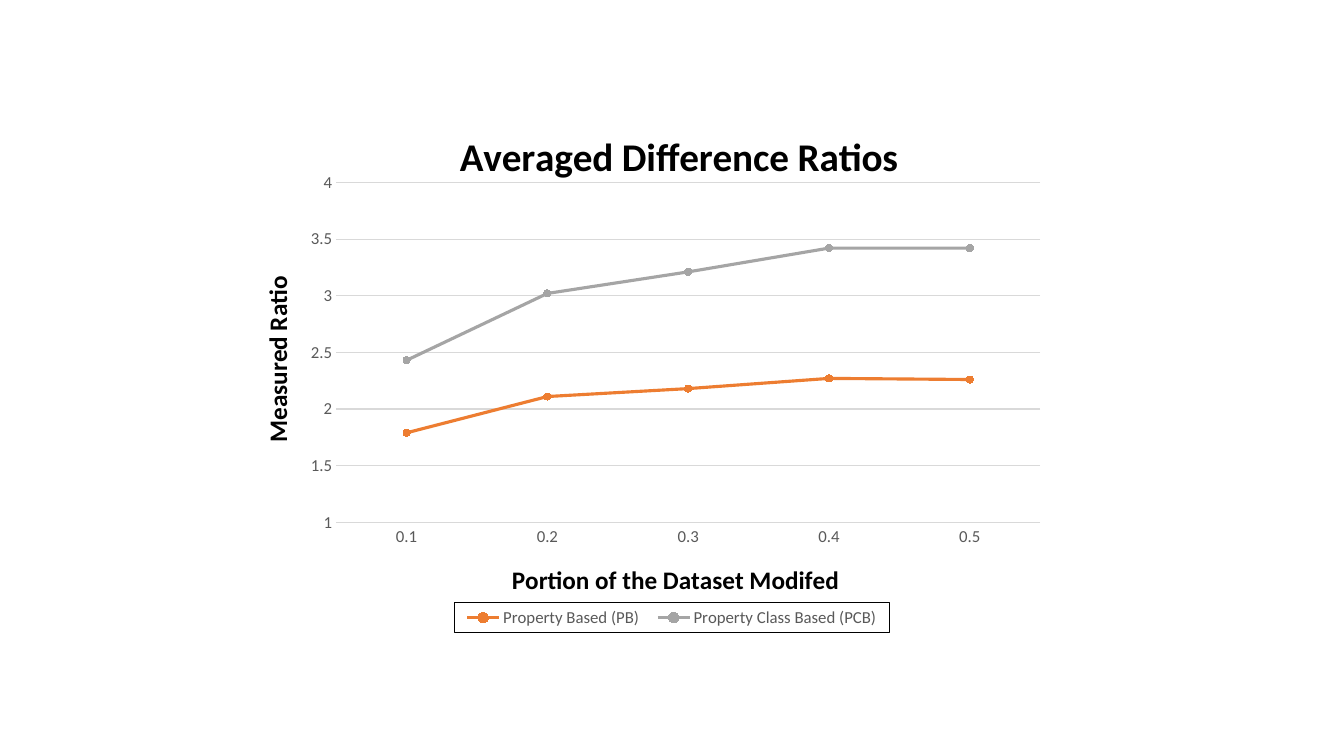
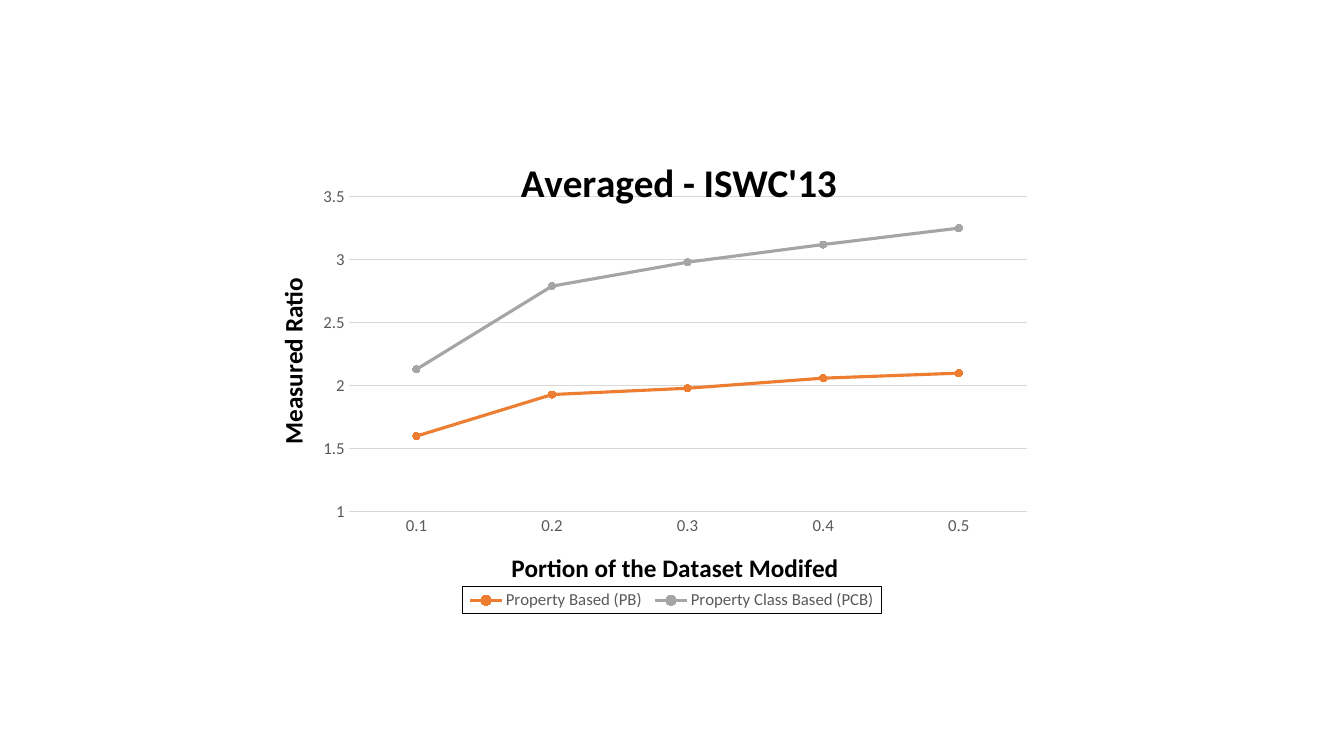
from pptx import Presentation
from pptx.chart.data import CategoryChartData as ChartData
from pptx.dml.color import RGBColor as Rgb
from pptx.enum.chart import XL_CHART_TYPE as Kind, XL_LEGEND_POSITION as Side
from pptx.enum.chart import XL_MARKER_STYLE as Mark, XL_TICK_MARK as Tick
from pptx.oxml import parse_xml
from pptx.oxml.ns import nsdecls, qn
from pptx.util import Cm, Pt

WIDE, HIGH = 33.87, 19.05
FONT = "Calibri"
HEX = {"ink": "000000", "label": "595959", "grid": "D9D9D9",
       "pb": "ED7D31", "pcb": "A5A5A5"}
NAMES = {"pb": "Property Based (PB)", "pcb": "Property Class Based (PCB)"}
PARTS = ["0.1", "0.2", "0.3", "0.4", "0.5"]

# Places inside a chart, in percent of its width and height
PLOT = (9.7, 14.8, 84.5, 61.2)
LEGEND = (23.9, 90.5, 52.2, 5.3)


class Deck:
    def __init__(self):
        self.prs = Presentation()
        self.prs.slide_width, self.prs.slide_height = Cm(WIDE), Cm(HIGH)
        self.slide = None

    def page(self):
        self.slide = self.prs.slides.add_slide(self.prs.slide_layouts[6])

    def style(self, font, size, color, bold=False):
        font.name, font.size, font.bold = FONT, Pt(size), bold
        font.color.rgb = Rgb.from_string(HEX[color])

    def stroke(self, line, color, width):
        line.color.rgb = Rgb.from_string(HEX[color])
        line.width = Pt(width)

    def place(self, node, index, spots, inner=False):
        """Put a manual layout into a chart part; spots are x, y, w, h."""
        old = node.find(qn("c:layout"))
        if old is not None:
            node.remove(old)
        tags = '<c:layoutTarget val="inner"/>' if inner else ""
        tags += '<c:xMode val="edge"/><c:yMode val="edge"/>'
        for key, spot in zip("xywh", spots):
            tags += f'<c:{key} val="{spot / 100:.3f}"/>'
        node.insert(index, parse_xml(
            f'<c:layout {nsdecls("c")}><c:manualLayout>{tags}'
            '</c:manualLayout></c:layout>'))

    def title(self, owner, text, size):
        run = owner.text_frame.paragraphs[0].add_run()
        run.text = text
        self.style(run.font, size, "ink", True)

    def axis(self, axis, text):
        axis.major_tick_mark = axis.minor_tick_mark = Tick.NONE
        self.style(axis.tick_labels.font, 12, "label")
        self.title(axis.axis_title, text, 18)

    def legend(self, chart):
        chart.has_legend = True
        key = chart.legend
        key.position, key.include_in_layout = Side.BOTTOM, False
        self.style(key.font, 12, "label")
        node = key._element
        self.place(node, 1, LEGEND)
        node.find(qn("c:txPr")).addprevious(parse_xml(
            f'<c:spPr {nsdecls("c", "a")}><a:ln w="9525"><a:solidFill>'
            f'<a:srgbClr val="{HEX["ink"]}"/></a:solidFill></a:ln></c:spPr>'))

    def chart(self, head, spot, size, ratios):
        data = ChartData()
        data.categories = PARTS
        for key, vals in ratios.items():
            data.add_series(NAMES[key], vals)
        wide, high = size
        chart = self.slide.shapes.add_chart(
            Kind.LINE_MARKERS, Cm((WIDE - wide) / 2), Cm((HIGH - high) / 2),
            Cm(wide), Cm(high), data).chart
        self.style(chart.font, 10, "ink")

        # Title over the plot
        chart.has_title = True
        self.title(chart.chart_title, head, 28)
        node = chart.chart_title._element
        self.place(node, 1, spot)
        node.find(qn("c:overlay")).set("val", "1")

        # Axes and grid
        across, up = chart.category_axis, chart.value_axis
        self.axis(across, "Portion of the Dataset Modifed")
        self.stroke(across.format.line, "grid", 0.75)
        self.axis(up, "Measured Ratio")
        up.format.line.fill.background()
        up.minimum_scale, up.major_unit = 1, 0.5
        self.stroke(up.major_gridlines.format.line, "grid", 0.75)

        # Lines and markers
        plot = chart.plots[0]
        plot.vary_by_categories = False
        for key, line in zip(ratios, plot.series):
            line.smooth = False
            self.stroke(line.format.line, key, 2.25)
            dot = line.marker
            dot.style, dot.size = Mark.CIRCLE, 5
            dot.format.fill.solid()
            dot.format.fill.fore_color.rgb = Rgb.from_string(HEX[key])
            self.stroke(dot.format.line, key, 0.75)

        self.legend(chart)
        self.place(chart._chartSpace.chart.plotArea, 0, PLOT, True)


deck = Deck()

# Slide 1: all data sets
deck.page()
deck.chart("Averaged Difference Ratios", (23.7, 4.1), (21, 14), {
    "pb": (1.79, 2.11, 2.18, 2.27, 2.26),
    "pcb": (2.43, 3.02, 3.21, 3.42, 3.42)})

# Slide 2: one conference
deck.page()
deck.chart("Averaged - ISWC'13", (30.3, 5.5), (20.22, 12.98), {
    "pb": (1.6, 1.93, 1.98, 2.06, 2.1),
    "pcb": (2.13, 2.79, 2.98, 3.12, 3.25)})

deck.prs.save("out.pptx")
